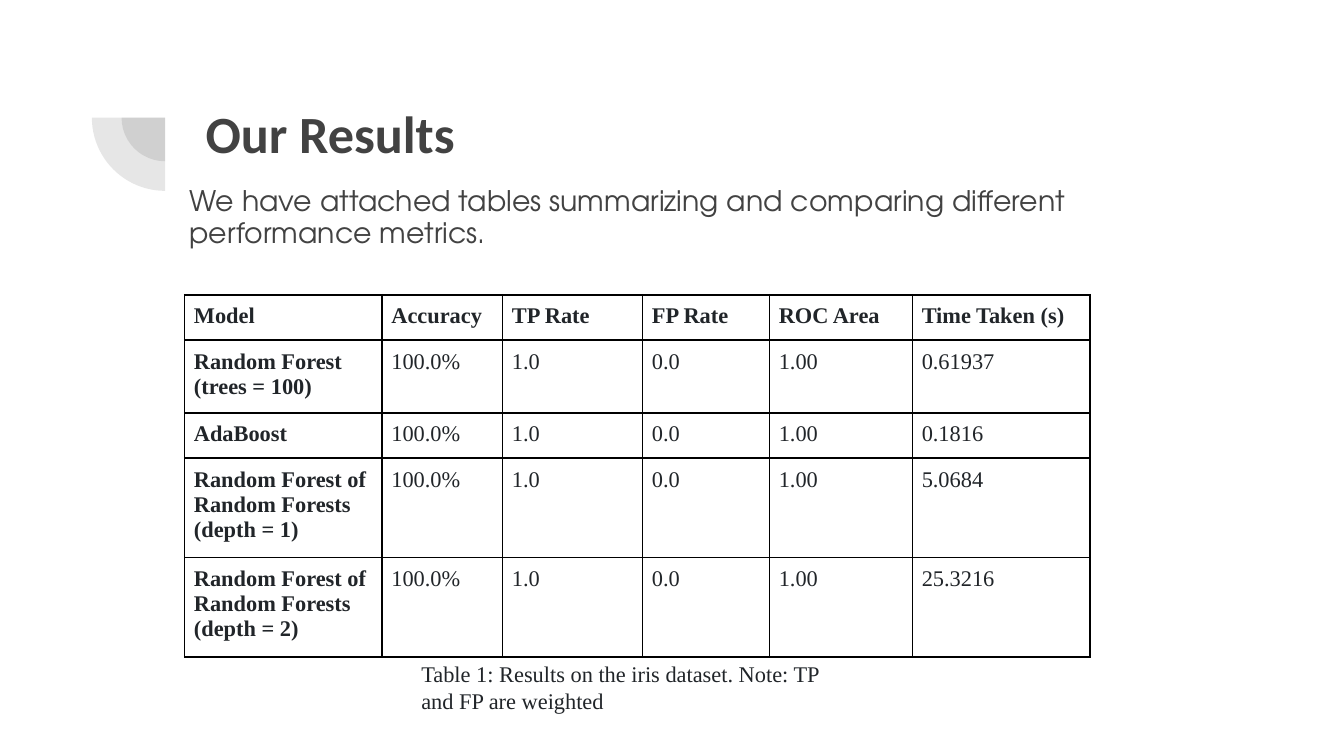
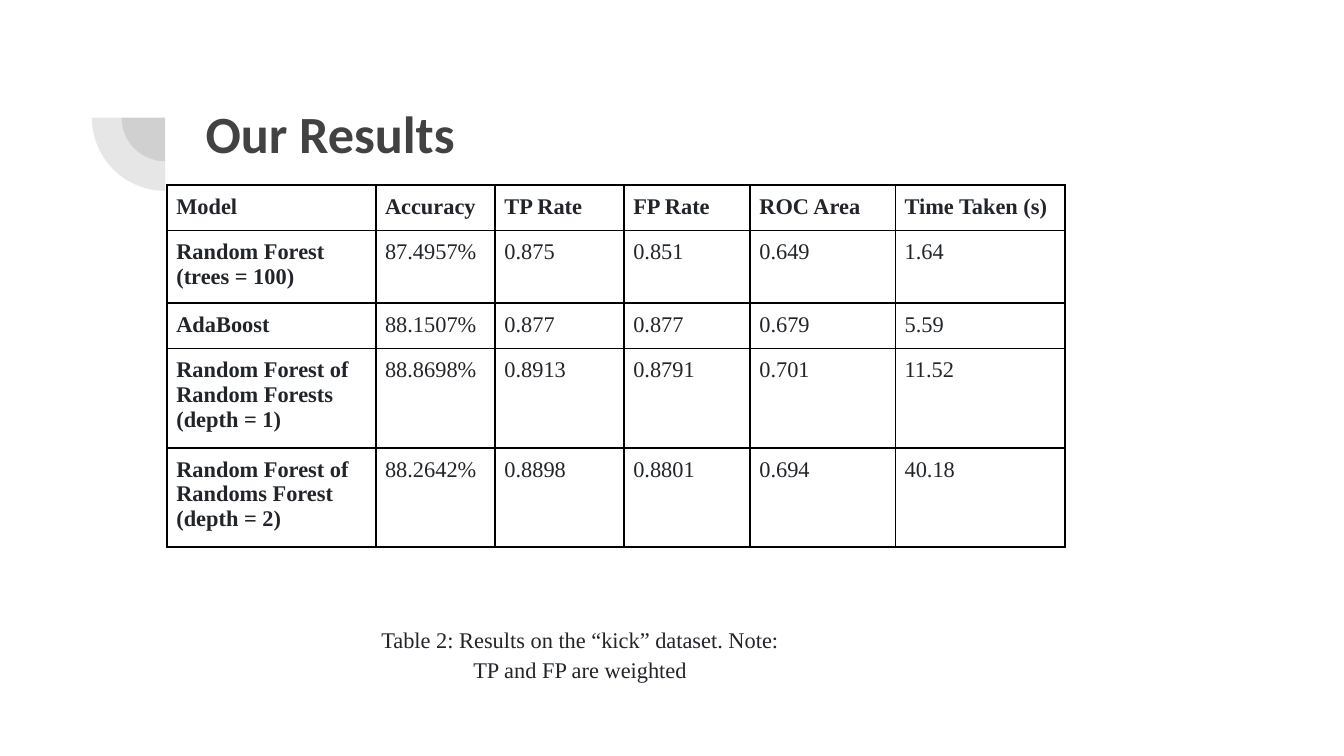
from dataclasses import dataclass
from typing import Optional

from lxml import etree
from pptx import Presentation
from pptx import util as u
from pptx.dml.color import RGBColor
from pptx.enum import shapes, text
from pptx.oxml import ns

Pt = u.Pt
COLORS = {"title": "424242", "table": "212529", "border": "000000", "page": "FFFFFF"}
FONTS = {"title": "Calibri", "body": "TeX Gyre Adventor", "table": "Times New Roman"}
CELL_INSET = 5
BOX_INSET = 7.2
LINE_HEIGHT = 13.3
HEADINGS = ("Model", "Accuracy", "TP Rate", "FP Rate", "ROC Area", "Time Taken (s)")
ROW_LINES = (1, 2, 1, 3, 3)


@dataclass(frozen=True)
class Box:
    left: float
    top: float
    width: float
    height: float


@dataclass(frozen=True)
class Caption:
    wording: str
    box: Box
    align: text.PP_ALIGN = text.PP_ALIGN.LEFT
    spacing: float = 1.0
    after: float = 0


@dataclass(frozen=True)
class Results:
    left: float
    top: float
    widths: tuple[float, ...]
    rows: tuple[tuple[str, ...], ...]
    caption: Caption
    intro: Optional[str] = None


TITLE_BOX = Box(103, 46.8, 553.7, 78.5)
INTRO_BOX = Box(94.3, 92.2, 553.7, 41)
PIE_CENTER = (88.5, 63)
PIE_SIZES = (46.8, 78.5)

SLIDES = (
    Results(
        left=98.9, top=157.9, widths=(105.8, 64.6, 75, 68, 76.6, 95),
        rows=(
            ("Random Forest\n(trees = 100)", "100.0%", "1.0", "0.0", "1.00", "0.61937"),
            ("AdaBoost", "100.0%", "1.0", "0.0", "1.00", "0.1816"),
            ("Random Forest of Random Forests (depth = 1)",
             "100.0%", "1.0", "0.0", "1.00", "5.0684"),
            ("Random Forest of Random Forests (depth = 2)",
             "100.0%", "1.0", "0.0", "1.00", "25.3216"),
        ),
        caption=Caption(
            "Table 1: Results on the iris dataset. Note: TP and FP are weighted",
            Box(218.6, 339.4, 236.2, 57.6)),
        intro="We have attached tables summarizing and comparing different "
              "performance metrics.",
    ),
    Results(
        left=89.5, top=99.1, widths=(111.8, 64, 69, 67.6, 77.8, 90.8),
        rows=(
            ("Random Forest (trees = 100)", "87.4957%", "0.875", "0.851", "0.649", "1.64"),
            ("AdaBoost", "88.1507%", "0.877", "0.877", "0.679", "5.59"),
            ("Random Forest of Random Forests (depth = 1)",
             "88.8698%", "0.8913", "0.8791", "0.701", "11.52"),
            ("Random Forest of Randoms Forest (depth = 2)",
             "88.2642%", "0.8898", "0.8801", "0.694", "40.18"),
        ),
        caption=Caption(
            "Table 2: Results on the “kick” dataset. Note: TP and FP are weighted",
            Box(192.7, 320.4, 236.2, 58.3), text.PP_ALIGN.CENTER, 1.15, 12),
    ),
)


def rgb(name: str) -> RGBColor:
    return RGBColor.from_string(COLORS[name])


def write(frame, wording: str, *, role: str, size: float, color: str,
          bold: bool = False, align: text.PP_ALIGN = text.PP_ALIGN.LEFT,
          spacing: float = 1.0, after: float = 0) -> None:
    """Fill a text frame, one paragraph for each line of the wording."""
    for index, line in enumerate(wording.split("\n")):
        para = frame.add_paragraph() if index else frame.paragraphs[0]
        para.alignment = align
        para.line_spacing = spacing
        para.space_after = Pt(after)
        span = para.add_run()
        span.text = line
        span.font.name = FONTS[role]
        span.font.size = Pt(size)
        span.font.bold = bold
        span.font.color.rgb = rgb(color)


def add_text(page, box: Box, wording: str, *,
             anchor: text.MSO_ANCHOR = text.MSO_ANCHOR.TOP, **style) -> None:
    shape = page.shapes.add_textbox(
        Pt(box.left), Pt(box.top), Pt(box.width), Pt(box.height))
    frame = shape.text_frame
    frame.word_wrap = True
    frame.vertical_anchor = anchor
    frame.margin_left = frame.margin_right = Pt(BOX_INSET)
    frame.margin_top = frame.margin_bottom = Pt(BOX_INSET)
    write(frame, wording, **style)


def add_quarter(page, size: float) -> None:
    """Draw a translucent lower-left quarter disc around the shared centre."""
    center_x, center_y = PIE_CENTER
    pie = page.shapes.add_shape(
        shapes.MSO_SHAPE.PIE, Pt(center_x - size / 2), Pt(center_y - size / 2),
        Pt(size), Pt(size))
    pie.adjustments[0] = 108
    pie.adjustments[1] = 162
    pie.rotation = 270
    pie.shadow.inherit = False
    pie.line.fill.background()
    pie.fill.solid()
    pie.fill.fore_color.rgb = rgb("title")
    color = pie.fill._xPr.find(".//" + ns.qn("a:srgbClr"))
    etree.SubElement(color, ns.qn("a:alpha"), val="13000")


def add_borders(cell) -> None:
    properties = cell._tc.get_or_add_tcPr()
    for index, side in enumerate(("lnL", "lnR", "lnT", "lnB")):
        line = etree.Element(ns.qn(f"a:{side}"), w=str(Pt(1)))
        fill = etree.SubElement(line, ns.qn("a:solidFill"))
        etree.SubElement(fill, ns.qn("a:srgbClr"), val=COLORS["border"])
        properties.insert(index, line)


def add_results_table(page, results: Results) -> None:
    heights = [2 * CELL_INSET + LINE_HEIGHT * lines for lines in ROW_LINES]
    table = page.shapes.add_table(
        len(heights), len(HEADINGS), Pt(results.left), Pt(results.top),
        Pt(sum(results.widths)), Pt(sum(heights))).table
    table.first_row = table.horz_banding = False
    for column, width in zip(table.columns, results.widths):
        column.width = Pt(width)
    for row, height in zip(table.rows, heights):
        row.height = Pt(height)
    for row_index, values in enumerate((HEADINGS, *results.rows)):
        for column_index, value in enumerate(values):
            cell = table.cell(row_index, column_index)
            cell.margin_left = cell.margin_right = Pt(CELL_INSET)
            cell.margin_top = cell.margin_bottom = Pt(CELL_INSET)
            cell.fill.background()
            add_borders(cell)
            write(cell.text_frame, value, role="table", size=12, color="table",
                  bold=row_index == 0 or column_index == 0)


def add_results_slide(deck, results: Results) -> None:
    page = deck.slides.add_slide(deck.slide_layouts[6])
    page.background.fill.solid()
    page.background.fill.fore_color.rgb = rgb("page")
    for size in PIE_SIZES:
        add_quarter(page, size)
    add_text(page, TITLE_BOX, "Our Results", role="title", size=28,
             color="title", bold=True)
    if results.intro:
        add_text(page, INTRO_BOX, results.intro, role="body", size=15.2,
                 color="title", spacing=0.95)
    add_results_table(page, results)
    caption = results.caption
    add_text(page, caption.box, caption.wording, anchor=text.MSO_ANCHOR.MIDDLE,
             role="table", size=12, color="table", align=caption.align,
             spacing=caption.spacing, after=caption.after)


def main() -> None:
    deck = Presentation()
    deck.slide_width, deck.slide_height = Pt(720), Pt(405)
    for results in SLIDES:
        add_results_slide(deck, results)
    deck.save("out.pptx")


if __name__ == "__main__":
    main()
